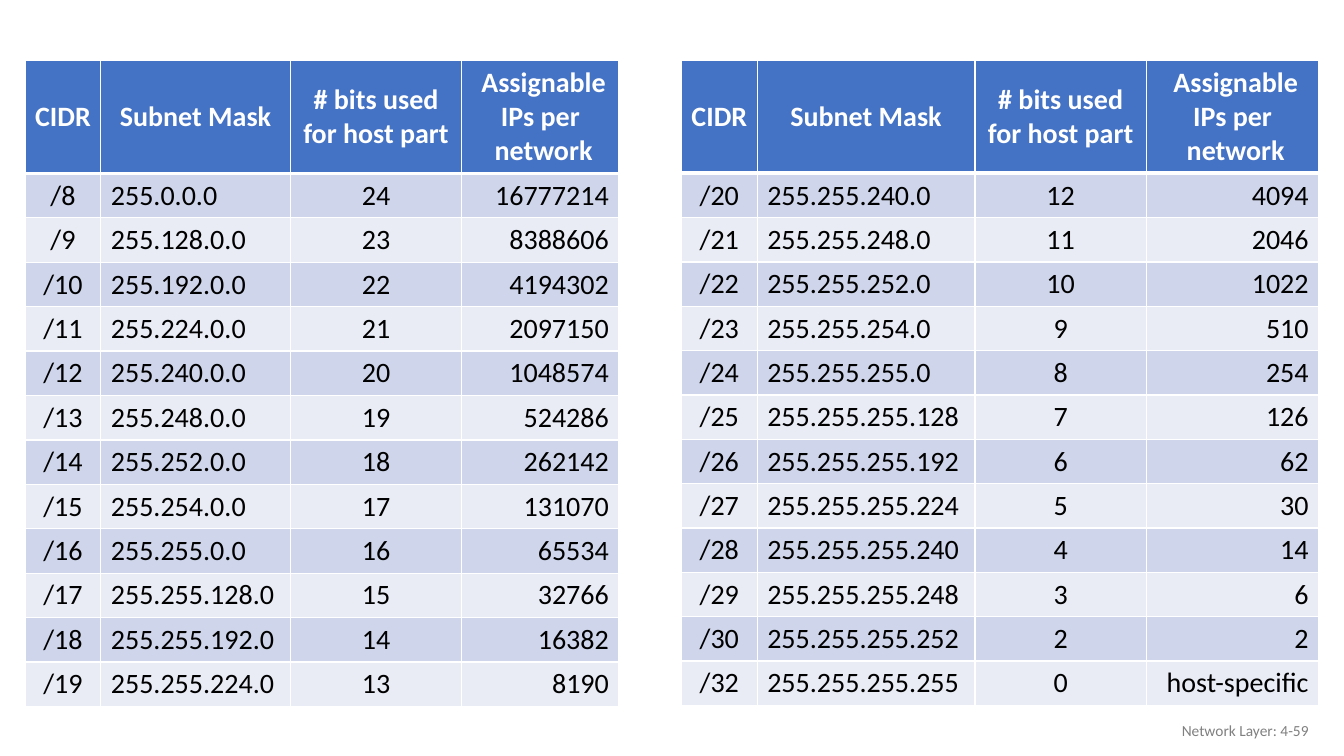
from lxml import etree
from pptx import Presentation
from pptx.dml.color import RGBColor
from pptx.enum.text import MSO_ANCHOR, PP_ALIGN
from pptx.oxml.ns import qn
from pptx.util import Inches, Pt

HEADER_BLUE = RGBColor(0x44, 0x72, 0xC4)
BAND_DARK = RGBColor(0xCF, 0xD5, 0xEA)
BAND_LIGHT = RGBColor(0xE9, 0xEB, 0xF5)
WHITE = RGBColor(0xFF, 0xFF, 0xFF)
BLACK = RGBColor(0x00, 0x00, 0x00)
GREY = RGBColor(0x80, 0x80, 0x80)

LEFT, CENTER, RIGHT = PP_ALIGN.LEFT, PP_ALIGN.CENTER, PP_ALIGN.RIGHT
MIDDLE = MSO_ANCHOR.MIDDLE

FONT = "Calibri"
HEADINGS = ["CIDR", "Subnet Mask", "# bits used\vfor host part",
            " Assignable\vIPs per\v network"]
ALIGNMENTS = [CENTER, LEFT, CENTER, RIGHT]
HEADER_HEIGHT, ROW_HEIGHT = 1.12, 0.44
CIDR_MARGIN = 0.05


def subnet_row(prefix):
    """Return the prefix, mask, host bits and assignable addresses as text."""
    host_bits = 32 - prefix
    mask = 2**32 - 2**host_bits
    dotted = ".".join(str(mask >> shift & 255) for shift in (24, 16, 8, 0))
    assignable = str(2**host_bits - 2) if host_bits else "host-specific"
    return [f"/{prefix}", dotted, str(host_bits), assignable]


def style_paragraph(paragraph, align, size, color, bold=False):
    paragraph.alignment = align
    font = paragraph.font
    font.name, font.size, font.bold = FONT, Pt(size), bold
    font.color.rgb = color


def fill_cell(cell, text, fill, align, color, bold=False):
    cell.text = text
    cell.fill.solid()
    cell.fill.fore_color.rgb = fill
    style_paragraph(cell.text_frame.paragraphs[0], align, 20, color, bold)


def underline_cell(cell, color, points):
    """Draw the cell's bottom border."""
    border = etree.Element(qn("a:lnB"), w=str(Pt(points)))
    solid = etree.SubElement(border, qn("a:solidFill"))
    etree.SubElement(solid, qn("a:srgbClr"), val=str(color))
    cell._tc.get_or_add_tcPr().insert(0, border)


def add_subnet_table(slide, left, top, column_widths, prefixes):
    height = HEADER_HEIGHT + ROW_HEIGHT * len(prefixes)
    table = slide.shapes.add_table(
        len(prefixes) + 1, len(HEADINGS), Inches(left), Inches(top),
        Inches(sum(column_widths)), Inches(height)).table
    for column, width in zip(table.columns, column_widths):
        column.width = Inches(width)
    for row in table.rows:
        row.height = Inches(ROW_HEIGHT)
        cidr_cell = row.cells[0]
        cidr_cell.margin_left = cidr_cell.margin_right = Inches(CIDR_MARGIN)
    table.rows[0].height = Inches(HEADER_HEIGHT)

    for col, heading in enumerate(HEADINGS):
        cell = table.cell(0, col)
        fill_cell(cell, heading, HEADER_BLUE, CENTER, WHITE, bold=True)
        cell.vertical_anchor = MIDDLE
        underline_cell(cell, WHITE, 3)
    for row, prefix in enumerate(prefixes, start=1):
        band = BAND_DARK if row % 2 else BAND_LIGHT
        for col, text in enumerate(subnet_row(prefix)):
            fill_cell(table.cell(row, col), text, band, ALIGNMENTS[col], BLACK)


def add_page_label(slide, left, top, width, height):
    frame = slide.shapes.add_textbox(
        Inches(left), Inches(top), Inches(width), Inches(height)).text_frame
    frame.word_wrap = True
    frame.vertical_anchor = MIDDLE
    frame.text = "Network Layer: 4-59"
    style_paragraph(frame.paragraphs[0], RIGHT, 11, GREY)


def main():
    prs = Presentation()
    prs.slide_width, prs.slide_height = Inches(13.33), Inches(7.5)
    slide = prs.slides.add_slide(prs.slide_layouts[6])
    add_subnet_table(slide, 0.25, 0.6, [0.75, 1.88, 1.7, 1.56],
                     list(range(8, 20)))
    add_page_label(slide, 10.08, 7.05, 3, 0.4)
    add_subnet_table(slide, 6.76, 0.6, [0.75, 2.16, 1.7, 1.71],
                     [*range(20, 31), 32])
    prs.save("out.pptx")


if __name__ == "__main__":
    main()
